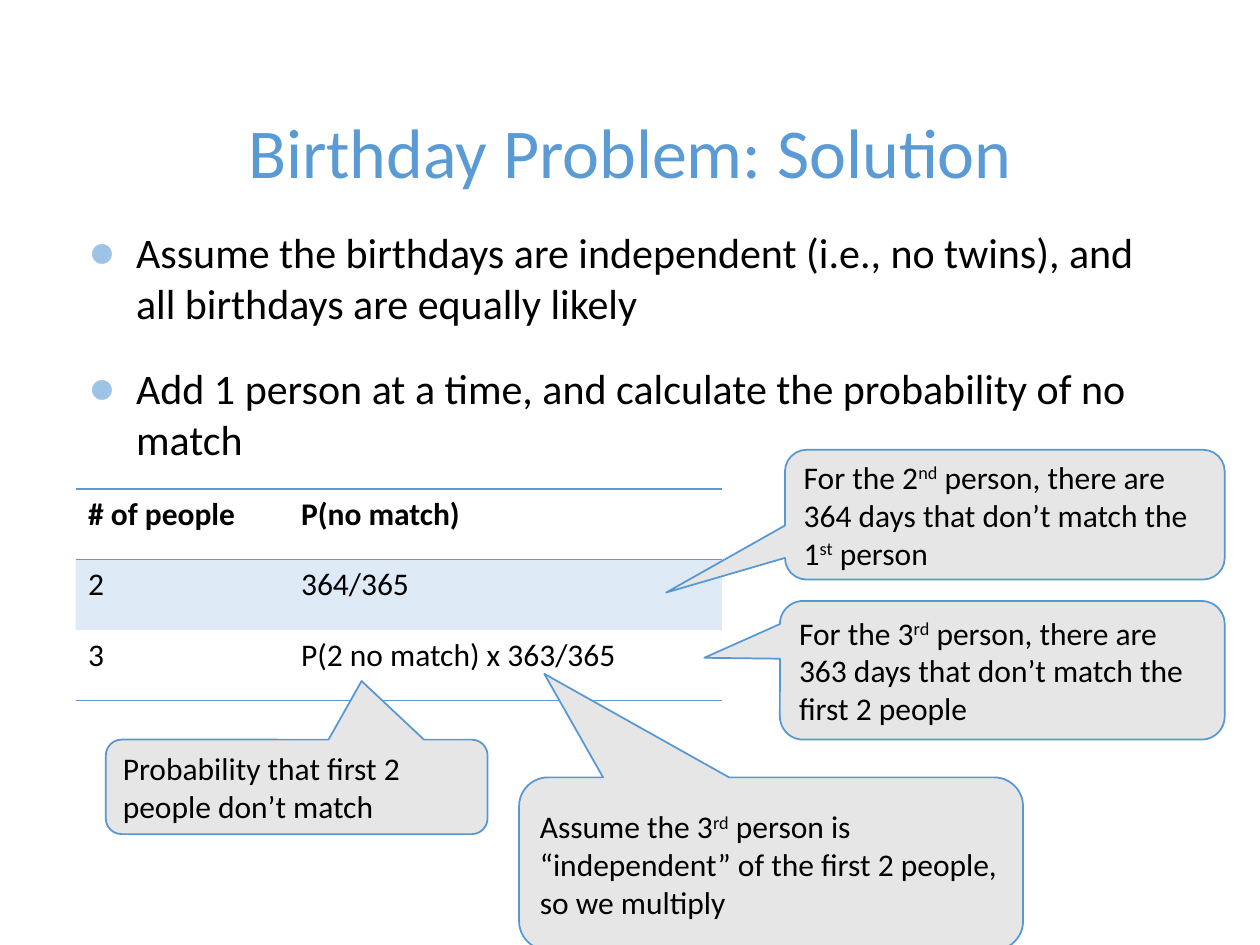
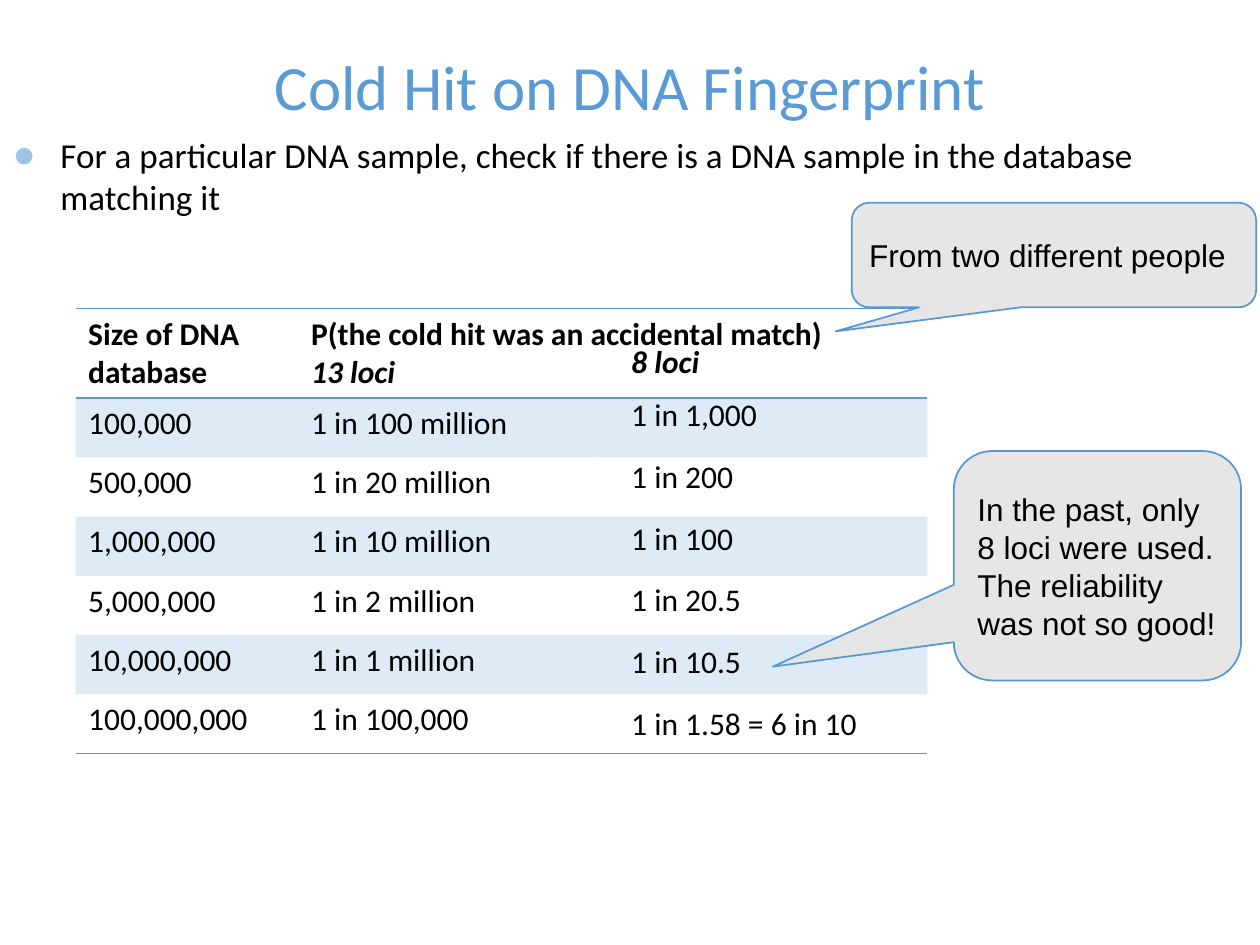
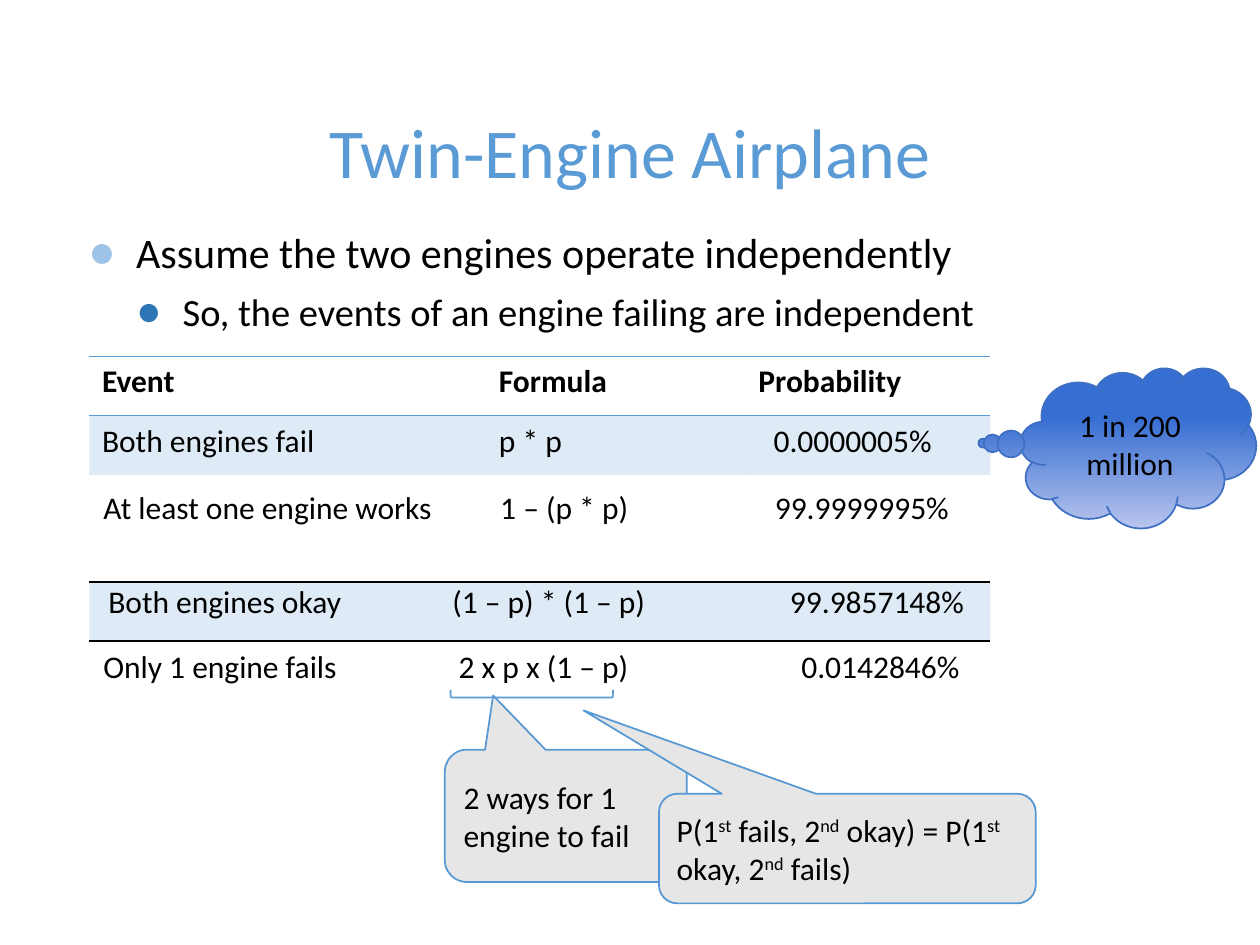
import pptx
import pptx.dml.color
import pptx.enum.shapes
import pptx.enum.text
import pptx.oxml
import pptx.oxml.ns
import pptx.util

Inches = pptx.util.Inches
Pt = pptx.util.Pt
RGB = pptx.dml.color.RGBColor
Shape = pptx.enum.shapes.MSO_SHAPE
Anchor = pptx.enum.text.MSO_ANCHOR
Align = pptx.enum.text.PP_ALIGN

BLUE = RGB(0x5B, 0x9B, 0xD5)
EDGE = RGB(0x56, 0x98, 0xD3)
PALE = RGB(0x9D, 0xC3, 0xE6)
DEEP = RGB(0x2E, 0x75, 0xB6)
GRAY = RGB(0xE7, 0xE6, 0xE6)
BLACK = RGB(0, 0, 0)
CLOUD_TOP = RGB(0x37, 0x6E, 0xD1)
CLOUD_LOW = RGB(0xB8, 0xC4, 0xED)
CLOUD_EDGE = RGB(0x3F, 0x6F, 0xC3)

PLAIN_GRID = "{2D5ABB26-0587-4C30-8999-92F81FD0307C}"
NS = pptx.oxml.ns.nsdecls("a")
LEVELS = [(PALE, 0.38, -0.38, 20), (DEEP, 0.75, -0.37, 6)]


class Deck:
    def __init__(self):
        self.file = pptx.Presentation()
        self.file.slide_width = Inches(10)
        self.file.slide_height = Inches(7.5)
        self.font = "Calibri"
        self.size = 18
        self.slide = None

    def place(self, item, left, top, width, height):
        item.left, item.top = Inches(left), Inches(top)
        item.width, item.height = Inches(width), Inches(height)

    def add_text(self, para, text, size=None, color=BLACK, bold=False, font=None):
        for i, part in enumerate(text.split("^")):
            run = para.add_run()
            run.text = part
            run.font.name = font or self.font
            run.font.size = Pt(size or self.size)
            run.font.color.rgb = color
            run.font.bold = bold
            if i % 2:
                run.font._element.set("baseline", "30000")

    def start(self, title, size=40, top=0.12):
        self.slide = self.file.slides.add_slide(self.file.slide_layouts[1])
        head = self.slide.shapes.title
        self.place(head, 0.6, top, 8.8, 1.46)
        frame = head.text_frame
        frame.auto_size = pptx.enum.text.MSO_AUTO_SIZE.NONE
        frame.vertical_anchor = Anchor.BOTTOM
        frame.paragraphs[0].alignment = Align.CENTER
        self.add_text(frame.paragraphs[0], title, size, BLUE)

    def points(self, items, left=0.6, top=1.75, width=8.8):
        body = self.slide.placeholders[1]
        self.place(body, left, top, width, 4.75)
        frame = body.text_frame
        frame.auto_size = pptx.enum.text.MSO_AUTO_SIZE.NONE
        for i, (level, size, text) in enumerate(items):
            para = frame.add_paragraph() if i else frame.paragraphs[0]
            color, margin, indent, space = LEVELS[level]
            para.level = level
            props = para._p.get_or_add_pPr()
            props.set("marL", str(Inches(margin)))
            props.set("indent", str(Inches(indent)))
            for xml in (
                f'<a:buClr {NS}><a:srgbClr val="{color}"/></a:buClr>',
                f'<a:buSzPct {NS} val="110000"/>',
                f'<a:buFont {NS} typeface="Arial"/>',
                f'<a:buChar {NS} char="●"/>',
            ):
                props.append(pptx.oxml.parse_xml(xml))
            para.space_before = Pt(space if i else 0)
            self.add_text(para, text, size)

    def table(self, left, top, cols, heights, rows, head=True):
        frame = self.slide.shapes.add_table(
            len(heights), len(cols), Inches(left), Inches(top),
            Inches(sum(cols)), Inches(sum(heights)))
        grid = frame.table
        grid.first_row = grid.horz_banding = False
        grid._tbl.tblPr.find(pptx.oxml.ns.qn("a:tableStyleId")).text = PLAIN_GRID
        for col, width in zip(grid.columns, cols):
            col.width = Inches(width)
        for row, height in zip(grid.rows, heights):
            row.height = Inches(height)
        for r, row in enumerate(rows):
            for c, text in enumerate(row):
                frame = grid.cell(r, c).text_frame
                for i, line in enumerate(text.split("\n")):
                    para = frame.add_paragraph() if i else frame.paragraphs[0]
                    self.add_text(para, line, bold=head and r == 0)
        return grid

    def band(self, grid, *rows):
        for r in rows:
            for cell in grid.rows[r].cells:
                cell.fill.solid()
                cell.fill.fore_color.rgb = BLUE
                tint = cell._tc.tcPr.find(".//" + pptx.oxml.ns.qn("a:srgbClr"))
                tint.append(pptx.oxml.parse_xml(f'<a:alpha {NS} val="20000"/>'))

    def rule(self, grid, row, sides="B", color=BLUE):
        for cell in grid.rows[row].cells:
            for side in sides:
                cell._tc.get_or_add_tcPr().insert(0, pptx.oxml.parse_xml(
                    f'<a:ln{side} {NS} w="12700"><a:solidFill>'
                    f'<a:srgbClr val="{color}"/></a:solidFill></a:ln{side}>'))

    def shape(self, kind, box, edge):
        item = self.slide.shapes.add_shape(kind, *map(Inches, box))
        item.shadow.inherit = False
        item.line.color.rgb = edge
        item.line.width = Pt(1)
        return item

    def label(self, item, text, align=Align.LEFT, font=None):
        frame = item.text_frame
        frame.word_wrap = True
        frame.vertical_anchor = Anchor.MIDDLE
        frame.paragraphs[0].alignment = align
        self.add_text(frame.paragraphs[0], text, font=font)

    def callout(self, box, tip, text, font=None):
        item = self.shape(Shape.ROUNDED_RECTANGULAR_CALLOUT, box, EDGE)
        item.adjustments[0], item.adjustments[1] = tip
        item.fill.solid()
        item.fill.fore_color.rgb = GRAY
        self.label(item, text, font=font)

    def cloud(self, box, tip, text):
        item = self.shape(Shape.CLOUD_CALLOUT, box, CLOUD_EDGE)
        item.adjustments[0], item.adjustments[1] = tip
        item.fill.gradient()
        item.fill.gradient_angle = 270
        tones = [(0.31, CLOUD_TOP), (1, CLOUD_LOW)]
        for stop, (place, color) in zip(item.fill.gradient_stops, tones):
            stop.position = place
            stop.color.rgb = color
        self.label(item, text, Align.CENTER)

    def bracket(self, box):
        item = self.shape(Shape.LEFT_BRACKET, box, BLUE)
        item.rotation = 270
        item.fill.background()


def birthday(deck):
    deck.start("Birthday Problem: Solution")
    deck.points([
        (0, 24, "Assume the birthdays are independent (i.e., no twins), "
                "and all birthdays are equally likely"),
        (0, 24, "Add 1 person at a time, and calculate the probability of no match"),
    ])
    odds = deck.table(0.6, 3.88, [1.69, 3.44], [0.56] * 3, [
        ["# of people", "P(no match)"],
        ["2", "364/365"],
        ["3", "P(2 no match) x 363/365"],
    ])
    deck.band(odds, 1)
    deck.rule(odds, 0, "BT")
    deck.rule(odds, 2)
    deck.callout((6.23, 3.57, 3.49, 1.03), (-0.77, 0.6),
                 "For the 2^nd^ person, there are 364 days that don’t match the 1^st^ person")
    deck.callout((6.19, 4.77, 3.53, 1.1), (-0.67, -0.09),
                 "For the 3^rd^ person, there are 363 days that don’t match the first 2 people")
    deck.callout((0.84, 5.87, 3.03, 0.75), (0.17, -1.12),
                 "Probability that first 2 people don’t match")
    deck.callout((4.12, 6.17, 4, 1.37), (-0.45, -1.1),
                 "Assume the 3^rd^ person is “independent” of the first 2 people, so we multiply")


def cold_hit(deck):
    deck.start("Cold Hit on DNA Fingerprint", 36, -0.43)
    deck.points([(0, 20, "For a particular DNA sample, check if there is a DNA sample "
                         "in the database matching it")], 0, 1.01, 9.65)
    hits = deck.table(0.6, 2.45, [1.77, 2.38, 2.61], [0.59] + [0.47] * 6, [
        ["Size of DNA database", "P(the cold hit was an accidental match)\n13 loci"],
        ["100,000", "1 in 100 million"],
        ["500,000", "1 in 20 million"],
        ["1,000,000", "1 in 10 million"],
        ["5,000,000", "1 in 2 million"],
        ["10,000,000", "1 in 1 million"],
        ["100,000,000", "1 in 100,000"],
    ])
    hits.cell(0, 1).merge(hits.cell(0, 2))
    hits.cell(0, 1).text_frame.paragraphs[1].runs[0].font.italic = True
    deck.band(hits, 1, 3, 5)
    deck.rule(hits, 0, "BT")
    deck.rule(hits, 6)
    deck.callout((7.57, 3.58, 2.28, 1.82), (-1.13, 0.44),
                 "In the past, only 8 loci were used. The reliability was not so good!",
                 "Arial")
    eight = ["8 loci", "1 in 1,000", "1 in 200", "1 in 100", "1 in 20.5",
             "1 in 10.5", "1 in 1.58 = 6 in 10"]
    loci = deck.table(4.91, 2.68, [2.08], [0.42] + [0.49] * 5 + [0.59],
                      [[text] for text in eight])
    loci.cell(0, 0).text_frame.paragraphs[0].runs[0].font.italic = True
    deck.callout((6.76, 1.61, 3.21, 0.83), (-0.54, 0.73),
                 "From two different people", "Arial")


def airplane(deck):
    deck.start("Twin-Engine Airplane")
    deck.points([
        (0, 24, "Assume the two engines operate independently"),
        (1, 22, "So, the events of an engine failing are independent"),
    ])
    cols = [3.15, 2.06, 1.94]
    events = deck.table(0.71, 2.83, cols, [0.47, 0.47, 0.85, 0.47, 0.42], [
        ["Event", "Formula", "Probability"],
        ["Both engines fail", "p * p", "0.0000005%"],
    ])
    events.cell(1, 2).margin_left = Inches(0.22)
    deck.band(events, 1, 3)
    deck.rule(events, 0, "BT")
    deck.rule(events, 2, "B", BLACK)
    deck.rule(events, 3, "BT", BLACK)
    deck.callout((3.53, 5.95, 1.92, 1.05), (-0.3, -0.91), "2 ways for 1 engine to fail")
    deck.callout((5.23, 6.3, 2.99, 0.87), (-0.7, -1.26),
                 "P(1^st^ fails, 2^nd^ okay) = P(1^st^ okay, 2^nd^ fails)")
    deck.bracket((4.19, 4.86, 0.06, 1.29))
    deck.cloud((8.1, 2.92, 1.87, 1.27), (-0.66, -0.03), "1 in 200 million")

    works = deck.table(0.72, 2.96, cols, [0.39, 0.47, 0.47, 0.47, 0.42],
                       [[], [], ["At least one engine works", "1 – (p * p)",
                                 "99.9999995%"]], False)
    works.cell(2, 2).margin_left = Inches(0.22)
    okay = deck.table(0.7, 3.17, [2.79, 2.68, 2.11], [0.47, 0.47, 0.47, 2.5, 0.42],
                      [[], [], [], ["Both engines okay", "(1 – p) * (1 – p)",
                                    "99.9857148%"]], False)
    okay.cell(3, 0).margin_left = Inches(0.16)
    fails = deck.table(0.44, 2.79, [3.1, 2.72, 3.71], [0.37, 0.69, 0.41, 0.8, 0.25],
                       [[], [], [], [], ["Only 1 engine fails", "2 x p x (1 – p)",
                                         "0.0142846%"]], False)
    fails.cell(4, 0).margin_left = Inches(0.38)


def main():
    deck = Deck()
    birthday(deck)
    cold_hit(deck)
    airplane(deck)
    deck.file.save("out.pptx")


if __name__ == "__main__":
    main()
